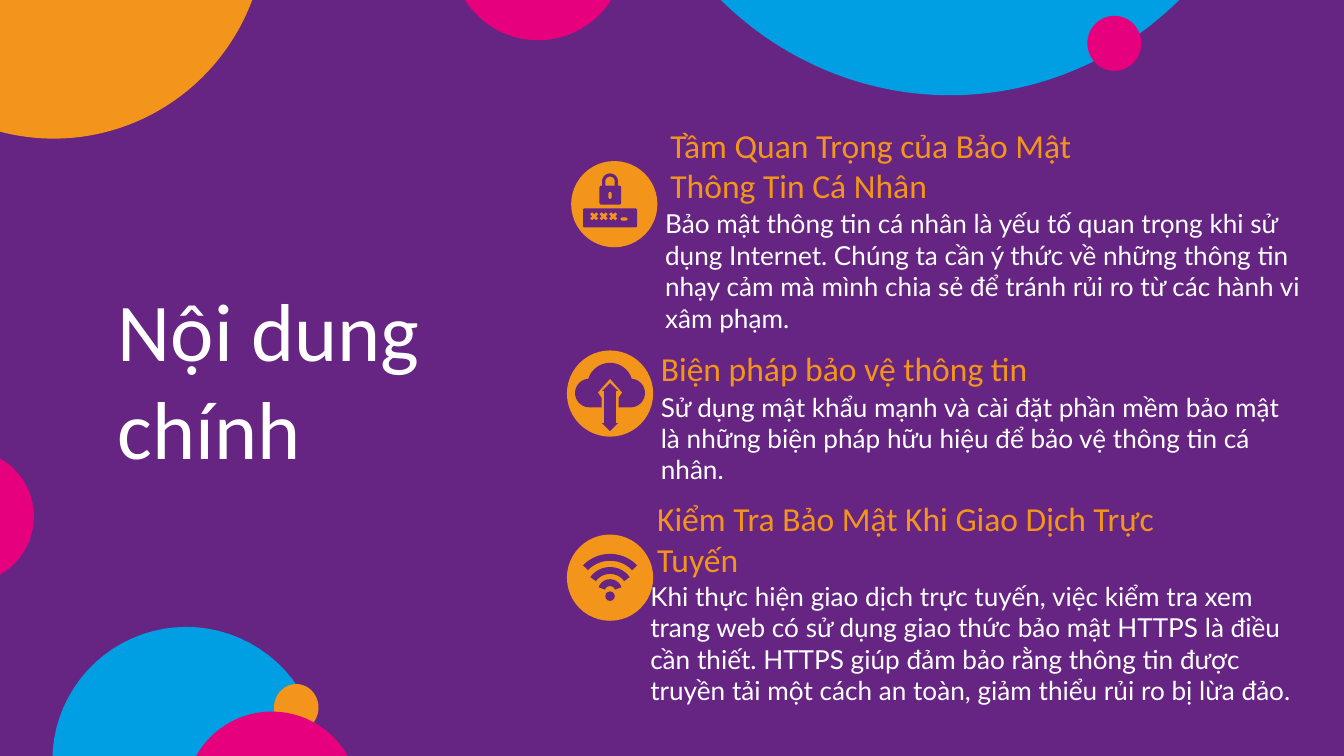
from math import cos, radians, sin

from pptx import Presentation
from pptx.dml.color import RGBColor
from pptx.enum.shapes import MSO_SHAPE
from pptx.enum.text import MSO_ANCHOR
from pptx.util import Cm, Pt

OVAL, ROUND = MSO_SHAPE.OVAL, MSO_SHAPE.ROUNDED_RECTANGLE
CROSS, ARROW = MSO_SHAPE.MATH_MULTIPLY, MSO_SHAPE.UP_DOWN_ARROW
TOP, MIDDLE = MSO_ANCHOR.TOP, MSO_ANCHOR.MIDDLE
PURPLE = RGBColor(0x66, 0x24, 0x83)
PINK = RGBColor(0xE6, 0x00, 0x7E)
ORANGE = RGBColor(0xF4, 0x95, 0x1B)
BLUE = RGBColor(0x00, 0x9F, 0xE3)
WHITE = RGBColor(0xFF, 0xFF, 0xFF)

# Content; all boxes are left, top, width, height in cm
TITLE = ("Nội dung chính", (1.98, 4.72, 8.61, 4.83))
TOPICS = [
    # heading, its box, body, its box, badge centre
    ("Tầm Quan Trọng của Bảo Mật Thông Tin Cá Nhân", (12.42, 2.11, 9.25, 1.45),
     "Bảo mật thông tin cá nhân là yếu tố quan trọng khi sử dụng Internet. "
     "Chúng ta cần ý thức về những thông tin nhạy cảm mà mình chia sẻ để "
     "tránh rủi ro từ các hành vi xâm phạm.", (12.32, 3.68, 12.55, 2.57),
     (11.61, 3.86)),
    ("Biện pháp bảo vệ thông tin", (12.24, 6.32, 7.54, 1.04),
     "Sử dụng mật khẩu mạnh và cài đặt phần mềm bảo mật là những biện pháp "
     "hữu hiệu để bảo vệ thông tin cá nhân.", (12.24, 7.14, 12.55, 1.73),
     (11.53, 7.44)),
    ("Kiểm Tra Bảo Mật Khi Giao Dịch Trực Tuyến", (12.17, 9.17, 10.08, 0.51),
     "Khi thực hiện giao dịch trực tuyến, việc kiểm tra xem trang web có sử "
     "dụng giao thức bảo mật HTTPS là điều cần thiết. HTTPS giúp đảm bảo rằng "
     "thông tin được truyền tải một cách an toàn, giảm thiểu rủi ro bị lừa đảo.",
     (12.04, 10.72, 12.75, 1.45), (11.53, 10.92)),
]
CIRCLES = [
    (PINK, (8.53, -2.54, 3.28, 3.3)),
    (PINK, (-1.85, 8.51, 2.49, 2.51)),
    (ORANGE, (-3, -5.51, 8.03, 8.13)),
    (BLUE, (11.68, -11.23, 12.55, 13.03)),
    (PINK, (20.55, 0.3, 1.02, 1.04)),
]
BADGE = 1.63
ICON_X = 11.53

TITLE_STYLE = {"name": "Calibri", "size": Pt(44)}
HEADING_STYLE = {"name": "Calibri", "size": Pt(18)}
BODY_STYLE = {"name": "Lato", "size": Pt(14)}

prs = Presentation()
prs.slide_width, prs.slide_height = Cm(25.4), Cm(14.29)
s = prs.slides.add_slide(prs.slide_layouts[6])
s.background.fill.solid()
s.background.fill.fore_color.rgb = PURPLE


def paint(sp, color):
    sp.shadow.inherit = False
    sp.fill.solid()
    sp.fill.fore_color.rgb = color
    sp.line.fill.background()


def add_preset(kind, box, color, adjustments=()):
    sp = s.shapes.add_shape(kind, *map(Cm, box))
    for i, value in enumerate(adjustments):
        sp.adjustments[i] = value
    paint(sp, color)


def add_outline(points, color):
    start, *rest = [(Cm(x), Cm(y)) for x, y in points]
    builder = s.shapes.build_freeform(*start, scale=1.0)
    builder.add_line_segments(rest, close=True)
    paint(builder.convert_to_shape(), color)


def arc(cx, cy, radius, start, end, steps=48):
    """Points clockwise from start to end, in degrees; 270 is the top."""
    angles = [radians(start + (end - start) * i / steps) for i in range(steps + 1)]
    return [(cx + radius * cos(a), cy + radius * sin(a)) for a in angles]


def add_text(text, box, style, color, anchor=TOP, space_after=0):
    tf = s.shapes.add_textbox(*map(Cm, box)).text_frame
    tf.word_wrap = True
    tf.vertical_anchor = anchor
    for side in ("left", "top", "right", "bottom"):
        setattr(tf, f"margin_{side}", Cm(0.25))
    p = tf.paragraphs[0]
    p.space_after = Pt(space_after)
    r = p.add_run()
    r.text = text
    for key, value in style.items():
        setattr(r.font, key, value)
    r.font.color.rgb = color


# Background circles; the two at the bottom are cut below the slide edge
for color, box in CIRCLES:
    add_preset(OVAL, box, color)
add_outline(arc(3.52, 14.38, 2.53, 156, 384), BLUE)
add_preset(OVAL, (5.18, 12.93, 0.84, 0.89), ORANGE)
add_outline(arc(5.14, 15.09, 1.64, 156, 384), PINK)

# Title and topics
add_text(*TITLE, TITLE_STYLE, WHITE, MIDDLE)
for heading, heading_box, body, body_box, (cx, cy) in TOPICS:
    add_preset(OVAL, (cx - BADGE / 2, cy - BADGE / 2, BADGE, BADGE), ORANGE)
    add_text(body, body_box, BODY_STYLE, WHITE, space_after=16)
    add_text(heading, heading_box, HEADING_STYLE, ORANGE)

# Padlock icon with password field
shackle = (arc(ICON_X, 3.43, 0.15, 180, 360)
           + [(ICON_X + 0.15, 3.55), (ICON_X + 0.09, 3.55)]
           + arc(ICON_X, 3.43, 0.09, 360, 180)
           + [(ICON_X - 0.09, 3.55), (ICON_X - 0.15, 3.55)])
add_outline(shackle, PURPLE)
add_preset(ROUND, (11.33, 3.51, 0.41, 0.36), PURPLE, [0.1])
add_preset(ROUND, (11.5, 3.63, 0.06, 0.13), ORANGE, [0.5])
add_preset(ROUND, (11.02, 3.94, 1.02, 0.36), PURPLE, [0.08])
for i in range(3):
    add_preset(CROSS, (11.12 + 0.18 * i, 3.98, 0.22, 0.22), ORANGE)
add_preset(ROUND, (11.73, 4.11, 0.13, 0.06), ORANGE, [0.5])

# Cloud icon, notched around its arrow
notch = [(0.16, 7.7), (0.16, 7.52), (0.23, 7.42), (0, 7.16),
         (-0.23, 7.42), (-0.16, 7.52), (-0.16, 7.7)]
cloud = (arc(ICON_X - 0.39, 7.43, 0.27, 90, 265)
         + arc(ICON_X, 7.29, 0.43, 195, 345)
         + arc(ICON_X + 0.39, 7.43, 0.27, 275, 450)
         + [(ICON_X + dx, y) for dx, y in notch])
add_outline(cloud, PURPLE)
add_preset(ARROW, (ICON_X - 0.15, 7.24, 0.3, 0.91), PURPLE, [0.58, 0.75])

# Wireless icon: radius and half angle of each wave
for radius, half in [(0.71, 46), (0.46, 54), (0.23, 70)]:
    wave = (arc(ICON_X, 11.18, radius, 270 - half, 270 + half)
            + arc(ICON_X, 11.18, radius - 0.13, 270 + half, 270 - half))
    add_outline(wave, PURPLE)
add_preset(OVAL, (ICON_X - 0.09, 11.18, 0.18, 0.18), PURPLE)

prs.save("out.pptx")
